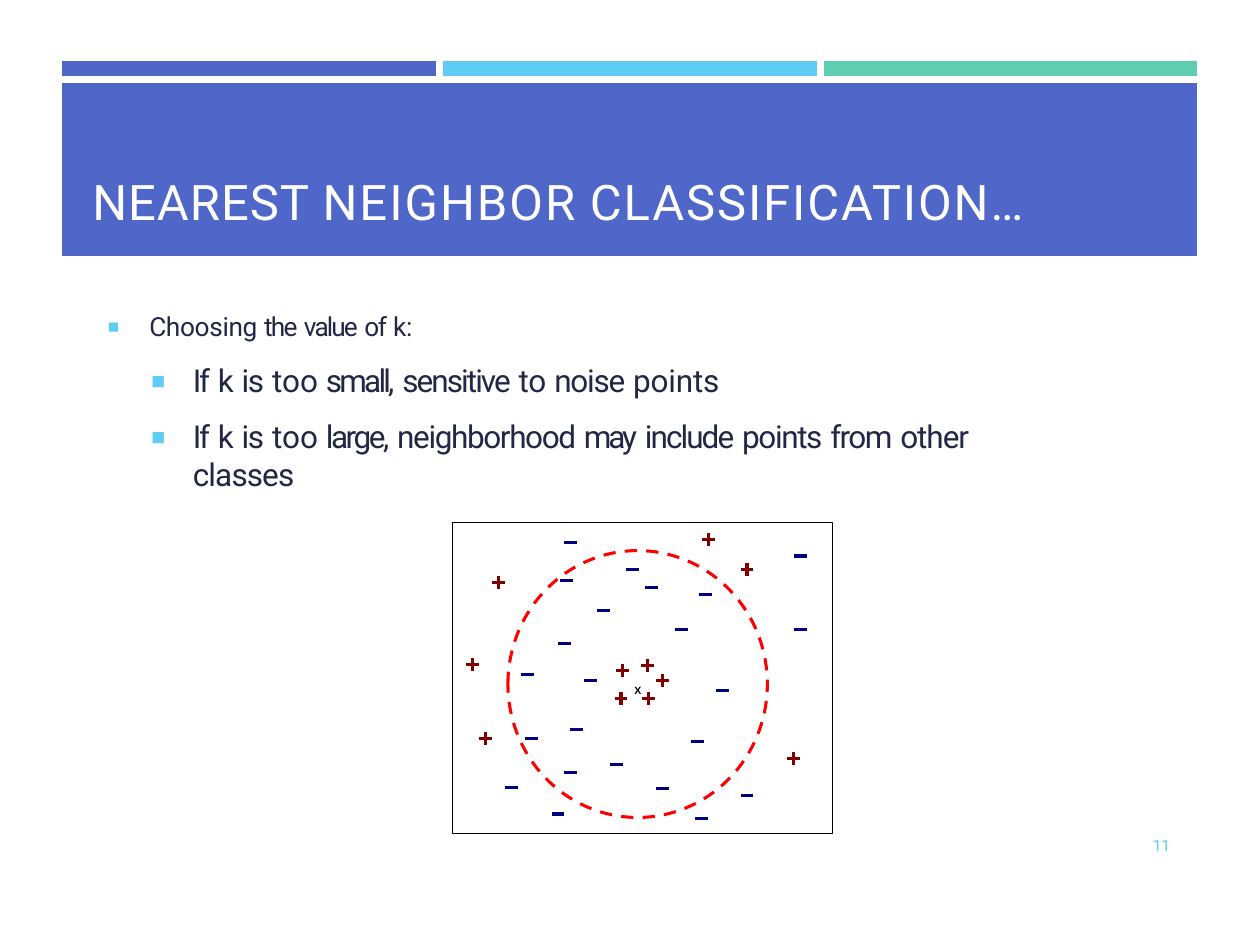
from lxml import etree
from pptx import Presentation
from pptx.dml.color import RGBColor
from pptx.enum.dml import MSO_LINE
from pptx.enum.shapes import MSO_SHAPE
from pptx.enum.text import MSO_ANCHOR, PP_ALIGN
from pptx.oxml.ns import qn
from pptx.util import Cm, Pt

RECT, OVAL = MSO_SHAPE.RECTANGLE, MSO_SHAPE.OVAL
DASH = MSO_LINE.DASH
MIDDLE, CENTER = MSO_ANCHOR.MIDDLE, PP_ALIGN.CENTER

WHITE = RGBColor(0xFF, 0xFF, 0xFF)
BLACK = RGBColor(0x00, 0x00, 0x00)
INDIGO = RGBColor(0x4E, 0x67, 0xC8)
SKY = RGBColor(0x5E, 0xCC, 0xF3)
GREEN = RGBColor(0x5D, 0xCE, 0xAF)
INK = RGBColor(0x21, 0x27, 0x45)
RED = RGBColor(0xFF, 0x00, 0x00)
MAROON = RGBColor(0x80, 0x00, 0x00)
NAVY = RGBColor(0x00, 0x00, 0x80)

# Runs are (text, letter spacing in points)
TITLE = [("NEAREST ", 0.6), ("NEIGHBOR ", 1.2), ("CLASSIFICATION…", 1.1)]
# Bullets are (level, size, space before, bullet size %, runs)
BULLETS = [
    (0, 15, 10.3, 93, [("Choosing ", -0.2), ("the ", -1), ("value ", -1.1),
                       ("of", -0.8), (" k:", -0.2)]),
    (1, 18, 11.2, 94, [("If ", -1.4), ("k ", 0), ("is ", -0.7), ("too ", 0),
                       ("small, ", -1.6), ("sensitive ", -1.1), ("to ", -0.1),
                       ("noise ", -0.7), ("points", -0.1)]),
    (1, 18, 10.3, 94, [("If ", -1.4), ("k ", 0), ("is ", -0.7), ("too ", 0),
                       ("large, ", -1.4), ("neighborhood ", -0.8), ("may ", -1.8),
                       ("include ", -1.1), ("points ", -0.8), ("from ", -0.9),
                       ("other ", -0.6), ("classes", -0.5)]),
]

# Clusters of samples: centres in cm from the corner of the plot
PLUSES = [
    [(6.88, 4.78)],
    [(3.4, 3.56), (3.43, 3), (3.96, 3.56), (3.94, 2.9)],
    [(4.24, 3.2)],
    [(5.94, 0.97), (0.94, 1.22), (0.66, 4.37), (0.41, 2.87)],
    [(5.16, 0.36)],
]
MINUSES = [
    [(7.01, 2.18)],
    [(7.01, 0.69)],
    [(5.11, 1.47), (3.05, 1.78), (2.51, 4.19), (2.26, 2.46), (2.39, 5.05),
     (2.31, 1.19)],
    [(1.52, 3.07), (4.01, 1.32), (1.6, 4.37)],
    [(2.79, 3.2), (4.62, 2.18), (3.63, 0.97), (3.3, 4.9), (4.95, 4.42),
     (5.44, 3.4), (4.24, 5.38), (1.19, 5.36), (2.39, 0.41), (5.94, 5.51),
     (2.13, 5.89), (5.03, 5.99)],
]
ARM = 0.13
MINUS_ARMS = [(ARM, 0)]
PLUS_ARMS = [(ARM, 0), (0, ARM)]


def add_run(p, text, spacing, size, color, font, bold):
    r = p.add_run()
    r.text = text
    r.font.name, r.font.size, r.font.bold = font, Pt(size), bold
    r.font.color.rgb = color
    r._r.get_or_add_rPr().set("spc", str(round(spacing * 100)))


def add_runs(p, runs, size, color, font="Roboto", bold=False):
    """The space after a word keeps its normal width."""
    for text, spacing in runs:
        word = text.rstrip()
        add_run(p, word, spacing, size, color, font, bold)
        if word != text:
            add_run(p, " ", 0, size, color, font, bold)


def set_margins(tf, left=0, top=0, right=0, bottom=0):
    tf.margin_left, tf.margin_top = Cm(left), Cm(top)
    tf.margin_right, tf.margin_bottom = Cm(right), Cm(bottom)


def add_text_box(s, x, y, w, h, top=0):
    tf = s.shapes.add_textbox(Cm(x), Cm(y), Cm(w), Cm(h)).text_frame
    tf.word_wrap = True
    set_margins(tf, top=top)
    return tf


def set_borders(cell, sides):
    tcPr = cell._tc.get_or_add_tcPr()
    for i, side in enumerate(sides):
        ln = etree.Element(qn("a:ln" + side), w=str(Pt(4.5)))
        fill = etree.SubElement(ln, qn("a:solidFill"))
        etree.SubElement(fill, qn("a:srgbClr"), val=str(WHITE))
        tcPr.insert(i, ln)


def header(s, x, y, widths, heights):
    """Three colour bars over the title band."""
    frame = s.shapes.add_table(2, 3, Cm(x), Cm(y), Cm(sum(widths)), Cm(sum(heights)))
    table = frame.table
    table.first_row = table.horz_banding = False
    for col, w in zip(table.columns, widths):
        col.width = Cm(w)
    for row, h in zip(table.rows, heights):
        row.height = Cm(h)

    # Colour bars
    bars = [(INDIGO, "RB"), (SKY, "LRB"), (GREEN, "LB")]
    for i, (color, sides) in enumerate(bars):
        bar, band = table.cell(0, i), table.cell(1, i)
        set_borders(bar, sides)
        set_borders(band, "T")
        for cell, fill in ((bar, color), (band, INDIGO)):
            set_margins(cell)
            cell.fill.solid()
            cell.fill.fore_color.rgb = fill
            cell.text_frame.paragraphs[0]._p.get_or_add_endParaRPr().set("sz", "600")

    # Title
    title = table.cell(1, 0)
    title.merge(table.cell(1, 2))
    set_margins(title, left=0.62, top=1.93)
    add_runs(title.text_frame.paragraphs[0], TITLE, 28, WHITE)


def set_bullet(p, level, percent):
    pPr = p._p.get_or_add_pPr()
    pPr.set("marL", str(Cm(0.88 * (level + 1))))
    pPr.set("indent", str(Cm(-0.84)))
    color = etree.SubElement(pPr, qn("a:buClr"))
    etree.SubElement(color, qn("a:srgbClr"), val=str(SKY))
    etree.SubElement(pPr, qn("a:buSzPct"), val=str(percent * 1000))
    etree.SubElement(pPr, qn("a:buFont"), typeface="Arial")
    etree.SubElement(pPr, qn("a:buChar"), char="◾")


def bullet_list(s, x, y, w, h):
    tf = add_text_box(s, x, y, w, h, top=0.36)
    for i, (level, size, before, percent, runs) in enumerate(BULLETS):
        p = tf.add_paragraph() if i else tf.paragraphs[0]
        p.level = level
        p.space_before = Pt(before)
        set_bullet(p, level, percent)
        add_runs(p, runs, size, INK)


def set_outline(sp, color, weight):
    sp.shadow.inherit = False
    sp.fill.background()
    sp.line.color.rgb = color
    sp.line.width = Pt(weight)


def add_outline(s, kind, x, y, w, h, color, weight):
    sp = s.shapes.add_shape(kind, Cm(x), Cm(y), Cm(w), Cm(h))
    set_outline(sp, color, weight)
    return sp


def add_samples(s, x, y, centers, arms, color):
    """One outline holding the strokes of a cluster of samples."""
    strokes = [((Cm(x + cx - dx), Cm(y + cy - dy)), (Cm(x + cx + dx), Cm(y + cy + dy)))
               for cx, cy in centers for dx, dy in arms]
    builder = s.shapes.build_freeform(*strokes[0][0])
    for i, (start, end) in enumerate(strokes):
        if i:
            builder.move_to(*start)
        builder.add_line_segments([end], close=False)
    set_outline(builder.convert_to_shape(), color, 1.75)


def neighborhood_plot(s, x, y, w, h):
    # Neighborhood circle
    circle = add_outline(s, OVAL, x + 1.12, y + 0.58, 5.23, 5.38, RED, 1.75)
    circle.line.dash_style = DASH

    # Frame, with the query point at the centre of the circle
    tf = add_outline(s, RECT, x, y, w, h, BLACK, 0.25).text_frame
    set_margins(tf, top=0.51, right=0.18)
    tf.vertical_anchor = MIDDLE
    p = tf.paragraphs[0]
    p.alignment = CENTER
    add_runs(p, [("X", -0.5)], 6, BLACK, "Arial", True)

    # Samples of the two classes
    for clusters, arms, color in ((PLUSES, PLUS_ARMS, MAROON), (MINUSES, MINUS_ARMS, NAVY)):
        for centers in clusters:
            add_samples(s, x, y, centers, arms, color)


def slide_number(s, x, y, w, h):
    p = add_text_box(s, x, y, w, h).paragraphs[0]
    p._p.get_or_add_pPr().set("marL", str(Cm(0.1)))
    add_runs(p, [("11", -0.2)], 9, SKY)


def main():
    prs = Presentation()
    prs.slide_width, prs.slide_height = Cm(25.4), Cm(19.05)
    s = prs.slides.add_slide(prs.slide_layouts[6])
    header(s, 1.24, 1.22, [7.62, 7.68, 7.6], [0.38, 3.57])
    bullet_list(s, 2.13, 5.89, 19.41, 3.33)
    neighborhood_plot(s, 9.12, 10.52, 7.66, 6.27)
    slide_number(s, 23.14, 16.85, 0.56, 0.43)
    prs.save("out.pptx")


if __name__ == "__main__":
    main()
